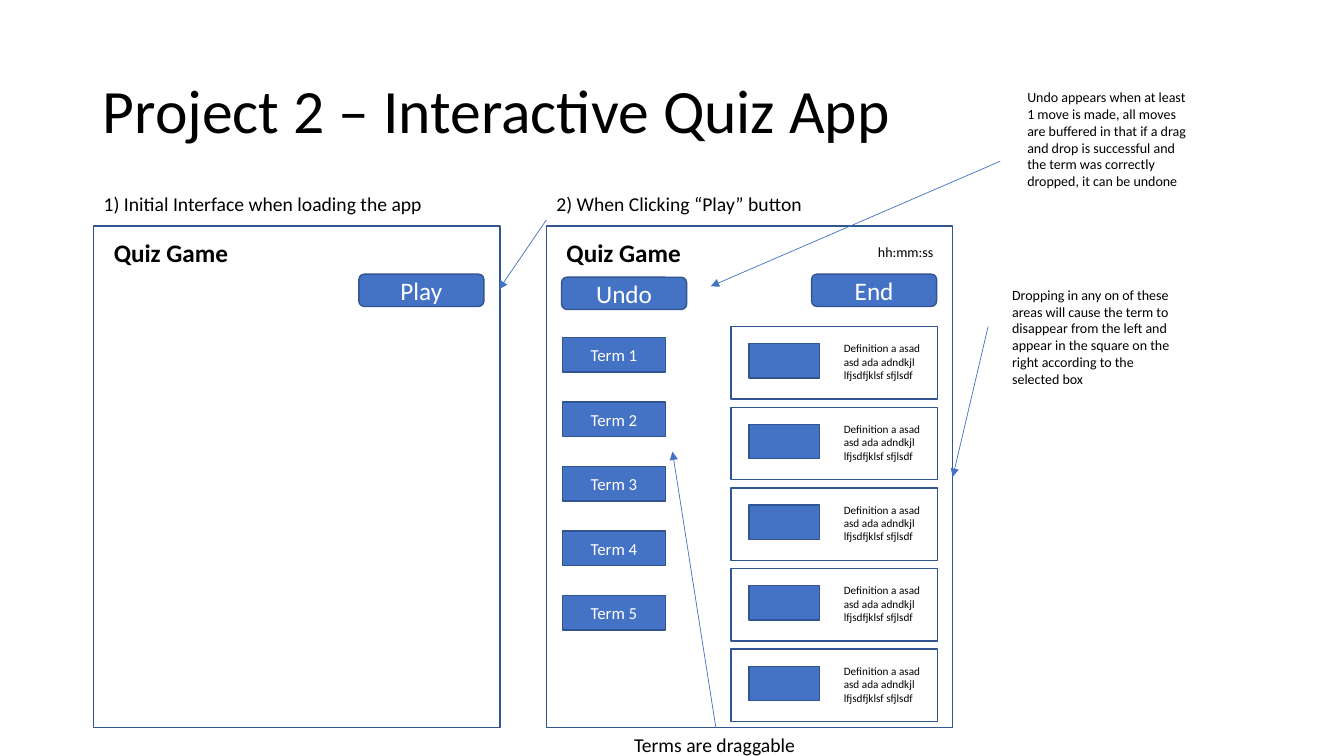
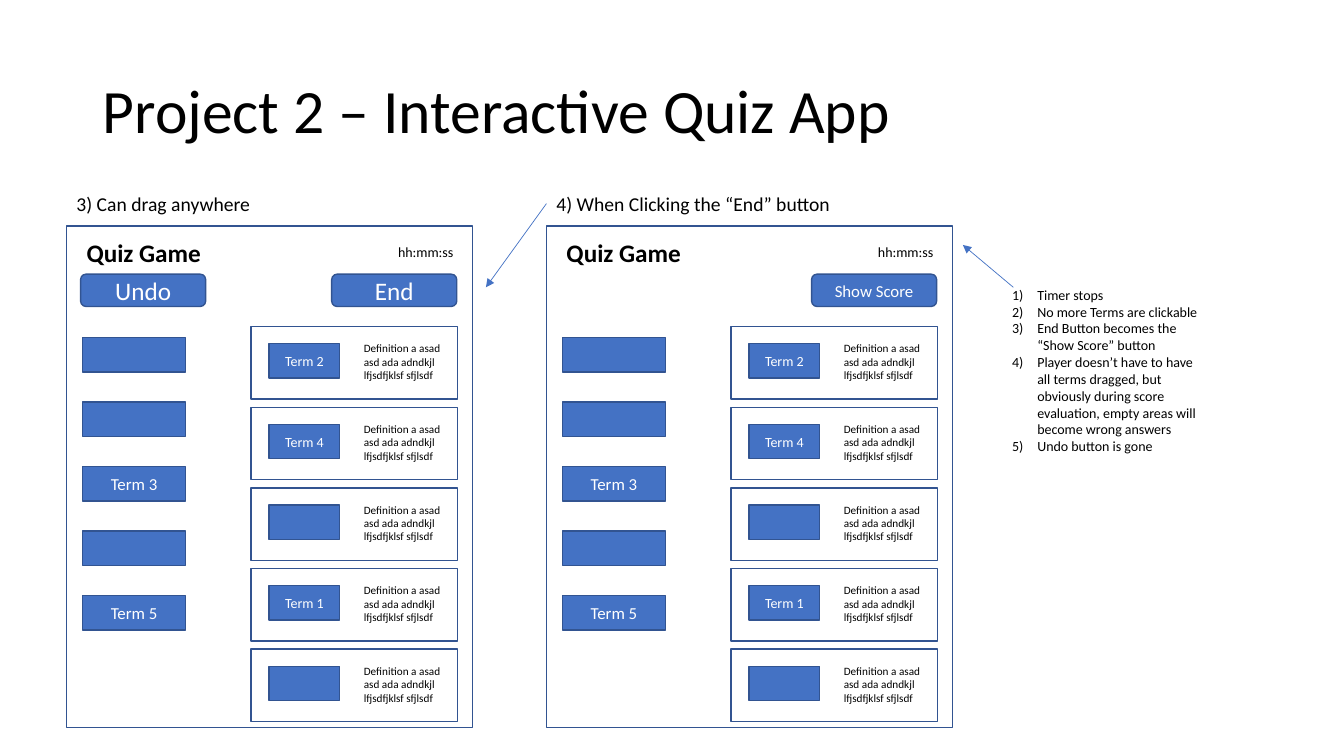
from lxml.etree import SubElement
from pptx import Presentation
from pptx.dml.color import RGBColor
from pptx.enum.shapes import MSO_CONNECTOR, MSO_SHAPE
from pptx.enum.text import MSO_ANCHOR, MSO_AUTO_SIZE, PP_ALIGN
from pptx.oxml.ns import qn
from pptx.util import Inches, Pt

BLUE = RGBColor(0x44, 0x72, 0xC4)
NAVY = RGBColor(0x32, 0x54, 0x91)
WHITE = RGBColor(0xFF, 0xFF, 0xFF)
BLACK = RGBColor(0x00, 0x00, 0x00)
FONT = "Calibri"

TITLE = "Project 2 – Interactive Quiz App"
DEFINITION = "Definition a asad asd ada adndkjl lfjsdfjklsf sfjlsdf"
TERMS = ["Term 1", "Term 2", "Term 3", "Term 4", "Term 5"]
LEFT_TERMS = ["", "", "Term 3", "", "Term 5"]
DROPPED = ["Term 2", "Term 4", "", "Term 1", ""]


class Deck:
    """Holds the style and the current slide."""

    def __init__(self, prs):
        self.prs = prs
        self.slide = None

    def style(self, tf, size, color, bold=False):
        for p in tf.paragraphs:
            for r in p.runs:
                r.font.name = FONT
                r.font.size = Pt(size)
                r.font.bold = bold
                r.font.color.rgb = color

    def new_slide(self, title):
        self.slide = self.prs.slides.add_slide(self.prs.slide_layouts[5])
        sp = self.slide.shapes.title
        sp.left, sp.top = Inches(0.92), Inches(0.4)
        sp.width, sp.height = Inches(11.5), Inches(1.45)
        tf = sp.text_frame
        tf.text = title
        tf.auto_size = MSO_AUTO_SIZE.NONE
        tf.vertical_anchor = MSO_ANCHOR.MIDDLE
        tf.paragraphs[0].alignment = PP_ALIGN.LEFT
        tf.paragraphs[0].line_spacing = 0.9
        self.style(tf, 44, BLACK)

    def text(self, x, y, w, h, text, size, bold=False, wrap=True):
        sp = self.slide.shapes.add_textbox(Inches(x), Inches(y), Inches(w), Inches(h))
        tf = sp.text_frame
        tf.word_wrap = wrap
        tf.auto_size = MSO_AUTO_SIZE.SHAPE_TO_FIT_TEXT
        tf.text = text
        self.style(tf, size, BLACK, bold)
        return sp

    def numbered(self, x, y, w, h, items, size):
        sp = self.text(x, y, w, h, "\n".join(items), size)
        for p in sp.text_frame.paragraphs:
            pPr = p._p.get_or_add_pPr()
            pPr.set("marL", str(Inches(0.25)))
            pPr.set("indent", str(Inches(-0.25)))
            SubElement(pPr, qn("a:buAutoNum"), type="arabicParenR")

    def box(self, x, y, w, h, fill=None, text="", size=12, kind=MSO_SHAPE.RECTANGLE):
        sp = self.slide.shapes.add_shape(kind, Inches(x), Inches(y), Inches(w), Inches(h))
        sp.shadow.inherit = False
        if fill is None:
            sp.fill.background()
        else:
            sp.fill.solid()
            sp.fill.fore_color.rgb = fill
        sp.line.color.rgb = NAVY
        sp.line.width = Pt(1)
        if text:
            tf = sp.text_frame
            tf.text = text
            tf.vertical_anchor = MSO_ANCHOR.MIDDLE
            tf.paragraphs[0].alignment = PP_ALIGN.CENTER
            self.style(tf, size, WHITE)
        return sp

    def button(self, x, y, text, size=18):
        self.box(x, y, 1.24, 0.32, BLUE, text, size, MSO_SHAPE.ROUNDED_RECTANGLE)

    def arrow(self, x1, y1, x2, y2):
        c = self.slide.shapes.add_connector(
            MSO_CONNECTOR.STRAIGHT, Inches(x1), Inches(y1), Inches(x2), Inches(y2))
        c.line.color.rgb = BLUE
        c.line.width = Pt(0.5)
        spPr = c.element.spPr
        SubElement(spPr.find(qn("a:ln")), qn("a:tailEnd"), type="triangle")
        SubElement(spPr, qn("a:effectLst"))
        return c

    def screen(self, x, caption, action, action_size=18):
        """Caption, window frame, heading and the button at the right."""
        label = self.text(x, 1.85, 4.03, 0.34, caption, 14)
        frame = self.box(x, 2.24, 4.03, 4.98, WHITE)
        self.text(x + 0.1, 2.31, 1.35, 0.4, "Quiz Game", 18, bold=True, wrap=False)
        self.button(x + 2.63, 2.72, action, action_size)
        return label, frame

    def game(self, x, terms, dropped):
        """Timer, column of terms and column of definition cards."""
        self.text(x + 3.19, 2.37, 0.76, 0.27, "hh:mm:ss", 10, wrap=False)
        for i, (term, answer) in enumerate(zip(terms, dropped)):
            self.box(x + 0.16, 3.35 + 0.64 * i, 1.02, 0.34, BLUE, term, 12)
            y = 3.24 + 0.8 * i
            self.box(x + 1.83, y, 2.05, 0.72)
            self.text(x + 2.85, y + 0.1, 1.05, 0.5, DEFINITION, 8)
            self.box(x + 2.01, y + 0.17, 0.7, 0.34, BLUE, answer, 10)


def start_slide(deck):
    deck.new_slide(TITLE)

    # Screens
    deck.screen(0.93, "1) Initial Interface when loading the app", "Play")
    _, frame = deck.screen(5.42, "2) When Clicking “Play” button", "End")
    deck.game(5.42, TERMS, [""] * 5)
    deck.button(5.57, 2.75, "Undo")

    # Remarks
    drag_note = deck.text(6.19, 7.22, 1.82, 0.34, "Terms are draggable", 14, wrap=False)
    deck.text(9.94, 2.79, 1.82, 1.11,
              "Dropping in any on of these areas will cause the term to disappear from "
              "the left and appear in the square on the right according to the "
              "selected box", 10)
    deck.text(10.09, 0.83, 1.82, 1.11,
              "Undo appears when at least 1 move is made, all moves are buffered in "
              "that if a drag and drop is successful and the term was correctly "
              "dropped, it can be undone", 10)

    # Arrows
    deck.arrow(7.1, 7.22, 6.67, 4.48).begin_connect(drag_note, 0)
    deck.arrow(9.8, 3.24, 9.45, 4.73).end_connect(frame, 3)
    deck.arrow(5.42, 2.18, 4.95, 2.87)
    deck.arrow(9.92, 1.6, 7.05, 2.84)


def end_slide(deck):
    deck.new_slide(TITLE)

    # Screens
    deck.screen(0.66, "3) Can drag anywhere", "End")
    deck.game(0.66, LEFT_TERMS, DROPPED)
    deck.button(0.8, 2.72, "Undo")
    label, _ = deck.screen(5.42, "4) When Clicking the “End” button", "Show Score", 12)
    deck.game(5.42, LEFT_TERMS, DROPPED)

    # Remarks
    deck.numbered(9.94, 2.79, 2.14, 1.78, [
        "Timer stops",
        "No more Terms are clickable",
        "End Button becomes the “Show Score” button",
        "Player doesn’t have to have all terms dragged, but obviously during score "
        "evaluation, empty areas will become wrong answers",
        "Undo button is gone",
    ], 10)

    # Arrows
    deck.arrow(5.42, 2.02, 4.82, 2.85).begin_connect(label, 1)
    deck.arrow(10.05, 2.85, 9.55, 2.43)


def main():
    prs = Presentation()
    prs.slide_width, prs.slide_height = Inches(13.33), Inches(7.5)
    deck = Deck(prs)
    start_slide(deck)
    end_slide(deck)
    prs.save("out.pptx")


if __name__ == "__main__":
    main()
